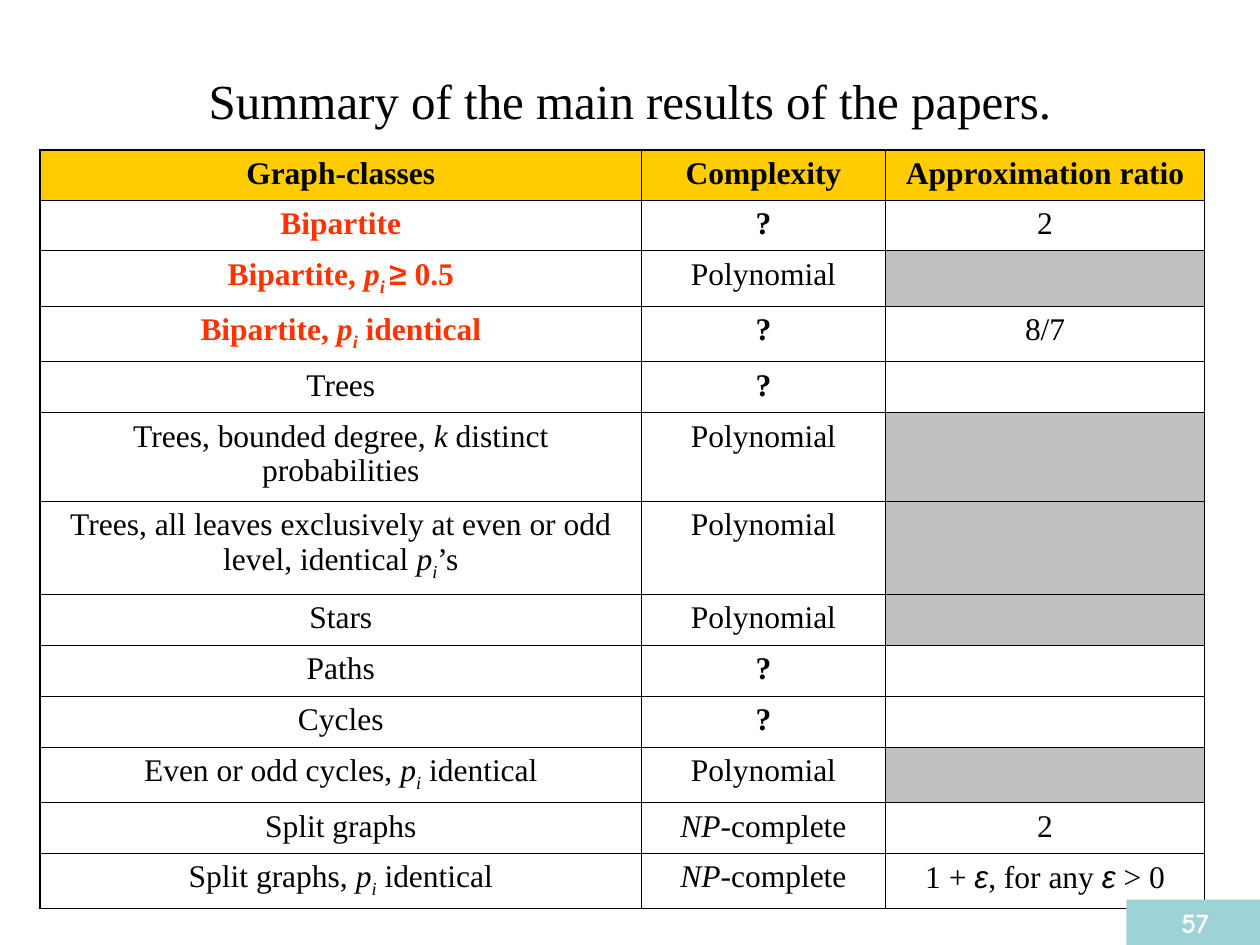
from lxml import etree
from pptx import Presentation
from pptx.dml.color import RGBColor
from pptx.enum.shapes import MSO_SHAPE
from pptx.enum.text import MSO_ANCHOR, PP_ALIGN
from pptx.oxml.ns import qn
from pptx.util import Inches, Pt

CENTER = PP_ALIGN.CENTER
MIDDLE = MSO_ANCHOR.MIDDLE
RECTANGLE = MSO_SHAPE.RECTANGLE
SERIF, SANS, ROUND = "Times New Roman", "Arial", "Comic Neue"
COLORS = {"ink": "000000", "open": "FF3300", "header": "FFCC00",
          "blank": "C0C0C0", "paper": "FFFFFF", "badge": "9DD3D7"}
THIN, THICK = Pt(0.45), Pt(1.08)


def add_run(paragraph, text, size, color="ink", font=SERIF, bold=False, italic=False, sub=False):
    run = paragraph.add_run()
    run.text = text
    run.font.size = Pt(size)
    run.font.name = font
    run.font.bold = bold
    run.font.italic = italic
    run.font.color.rgb = RGBColor.from_string(COLORS[color])
    if sub:
        run.font._element.set("baseline", "-25000")


def set_borders(cell, widths):
    properties = cell._tc.get_or_add_tcPr()
    for position, (side, width) in enumerate(zip("LRTB", widths)):
        line = etree.Element(qn(f"a:ln{side}"), w=str(int(width)))
        fill = etree.SubElement(line, qn("a:solidFill"))
        etree.SubElement(fill, qn("a:srgbClr"), val=COLORS["ink"])
        properties.insert(position, line)


ITALIC = {"italic": True}
SUB = {"italic": True, "sub": True}
SYMBOL = {"font": SANS}
EPSILON = {"font": SANS, "italic": True}
P_I = [("p", ITALIC), ("i", SUB)]
IDENTICAL = P_I + [(" identical", {})]
UNKNOWN = [("?", {"bold": True})]
POLYNOMIAL = [("Polynomial", {})]
NP_COMPLETE = [("NP", ITALIC), ("-complete", {})]
TWO = [("2", {})]
NOT_NEEDED = None

results = [
    ([("Graph-classes", {})], [("Complexity", {})], [("Approximation ratio", {})]),
    ([("Bipartite", {})], UNKNOWN, TWO),
    ([("Bipartite, ", {}), ("p", ITALIC), ("i ", SUB), ("≥", SYMBOL), (" 0.5", {})],
     POLYNOMIAL, NOT_NEEDED),
    ([("Bipartite, ", {})] + IDENTICAL, UNKNOWN, [("8/7", {})]),
    ([("Trees", {})], UNKNOWN, []),
    ([("Trees, bounded degree, ", {}), ("k", ITALIC), (" distinct probabilities", {})],
     POLYNOMIAL, NOT_NEEDED),
    ([("Trees, all leaves exclusively at even or odd level, identical ", {})] + P_I + [("’s", {})],
     POLYNOMIAL, NOT_NEEDED),
    ([("Stars", {})], POLYNOMIAL, NOT_NEEDED),
    ([("Paths", {})], UNKNOWN, []),
    ([("Cycles", {})], UNKNOWN, []),
    ([("Even or odd cycles, ", {})] + IDENTICAL, POLYNOMIAL, NOT_NEEDED),
    ([("Split graphs", {})], NP_COMPLETE, TWO),
    ([("Split graphs, ", {})] + IDENTICAL, NP_COMPLETE,
     [("1 + ", {}), ("ε", EPSILON), (", for any ", {}), ("ε", EPSILON), (" > 0", {})]),
]
OPEN_ROWS = (1, 2, 3)
column_widths = [4.77, 1.94, 2.53]
row_heights = [0.4, 0.4, 0.44, 0.44, 0.4, 0.7, 0.74, 0.4, 0.4, 0.4, 0.44, 0.4, 0.44]

prs = Presentation()
prs.slide_width, prs.slide_height = Inches(10), Inches(7.5)
slide = prs.slides.add_slide(prs.slide_layouts[5])

title = slide.shapes.title
title.left, title.top = Inches(0.5), Inches(0.52)
title.width, title.height = Inches(9), Inches(0.55)
title.text_frame.vertical_anchor = MIDDLE
heading = title.text_frame.paragraphs[0]
heading.alignment = CENTER
add_run(heading, "Summary of the main results of the papers.", 28)

summary = slide.shapes.add_table(
    len(results), len(column_widths), Inches(0.32), Inches(1.19),
    Inches(sum(column_widths)), Inches(sum(row_heights))).table
for column, width in zip(summary.columns, column_widths):
    column.width = Inches(width)
for row, height in zip(summary.rows, row_heights):
    row.height = Inches(height)

last_row, last_column = len(results) - 1, len(column_widths) - 1
for r, entries in enumerate(results):
    for c, runs in enumerate(entries):
        cell = summary.cell(r, c)
        fill = "header" if r == 0 else "blank" if runs is NOT_NEEDED else "paper"
        cell.fill.solid()
        cell.fill.fore_color.rgb = RGBColor.from_string(COLORS[fill])
        edges = (c == 0, c == last_column, r == 0, r == last_row)
        set_borders(cell, [THICK if outer else THIN for outer in edges])
        paragraph = cell.text_frame.paragraphs[0]
        paragraph.alignment = CENTER
        is_open = r in OPEN_ROWS and c == 0
        base = {"color": "open" if is_open else "ink", "bold": r == 0 or is_open}
        for text, style in runs or []:
            add_run(paragraph, text, 18, **{**base, **style})

badge = slide.shapes.add_shape(RECTANGLE, Inches(8.94), Inches(7.14), Inches(1.09), Inches(0.36))
badge.shadow.inherit = False
badge.fill.solid()
badge.fill.fore_color.rgb = RGBColor.from_string(COLORS["badge"])
badge.line.fill.background()
badge.text_frame.vertical_anchor = MIDDLE
page_number = badge.text_frame.paragraphs[0]
page_number.alignment = CENTER
add_run(page_number, "57", 16, "paper", ROUND, bold=True)

prs.save("out.pptx")
